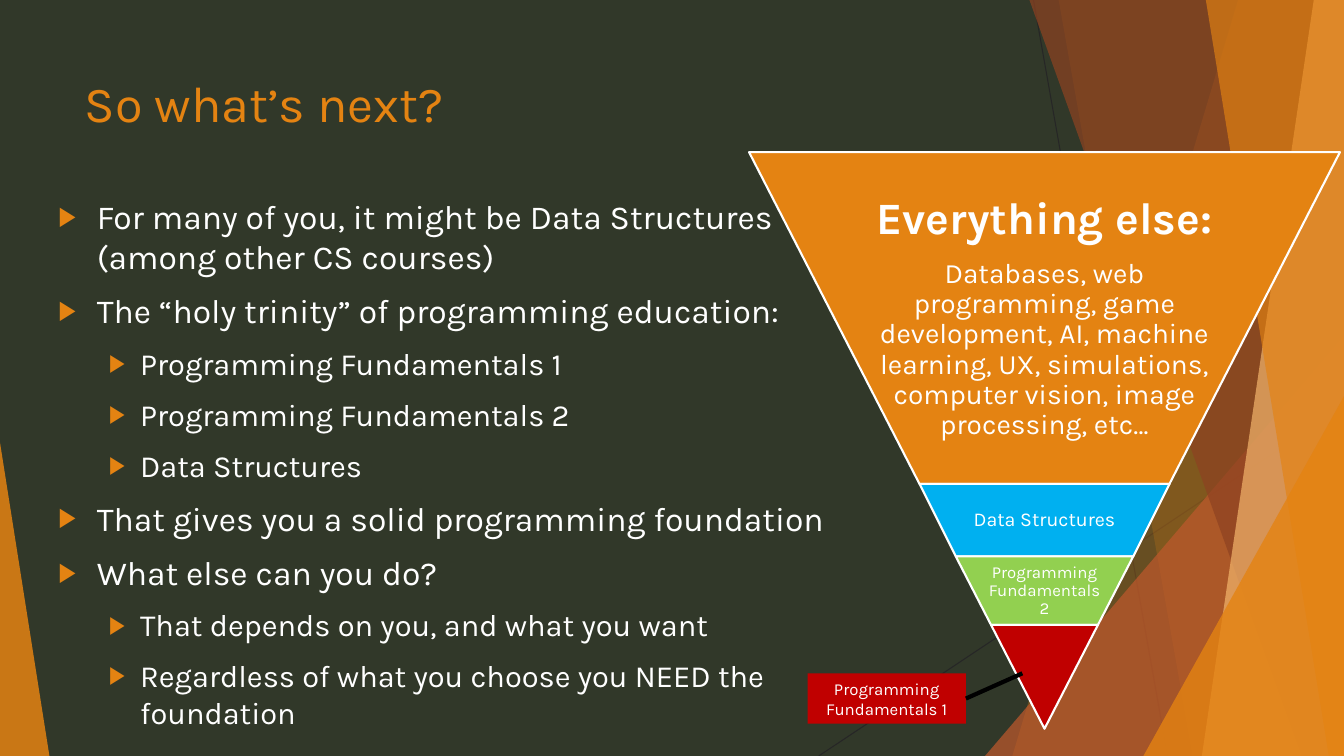
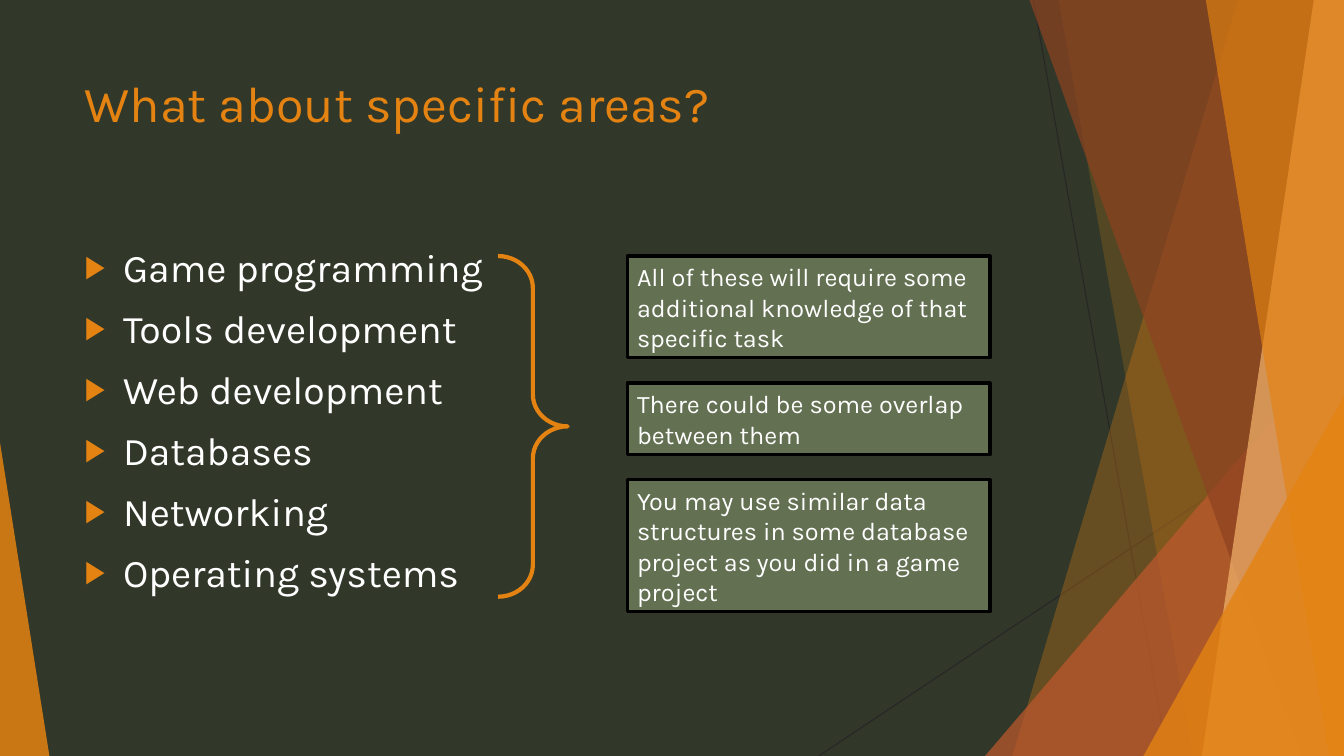
"""Build two slides on what to study after the programming fundamentals."""
from lxml.etree import SubElement
from pptx import Presentation
from pptx.dml.color import RGBColor
from pptx.enum.shapes import MSO_CONNECTOR as LINE, MSO_SHAPE as SHAPE
from pptx.enum.text import MSO_ANCHOR as ANCHOR, MSO_AUTO_SIZE as FIT, PP_ALIGN as ALIGN
from pptx.oxml.ns import qn
from pptx.util import Inches, Pt

FONT = "Karla"
WIDTH, HEIGHT = 13.33, 7.5
COLORS = {
    "background": "313829", "orange": "E48312", "rust": "BD582C", "brown": "8E4221",
    "peach": "F3B56C", "hairline": "262626", "white": "FFFFFF", "black": "000000",
    "blue": "00B0F0", "green": "92D050", "red": "C00000", "olive": "637052",
}

HAIRLINES = [(10.25, 0, 11.58, 7.5), (13.33, 4.03, 8.12, 7.5)]
FACETS = [
    {"edge": (12.28, 10.04), "color": "orange", "opacity": 30},
    {"edge": (10.5, 11.83), "color": "orange", "opacity": 20},
    {"box": (9.77, 3.33, 3.56, 4.17), "apex": 1, "color": "rust", "opacity": 72},
    {"edge": (10.21, 12.91), "color": "brown", "opacity": 70},
    {"edge": (13.03, 11.92), "color": "peach", "opacity": 70},
    {"edge": (11.96, 13.18), "color": "orange", "opacity": 65},
    {"box": (11.34, 3.93, 1.99, 3.57), "apex": 1, "color": "orange", "opacity": 80},
    {"box": (0, 4.39, 0.49, 3.11), "apex": 0, "color": "orange", "opacity": 85},
]

NEXT_TITLE = "So what’s next?"
NEXT_POINTS = [
    (0, "For many of you, it might be Data Structures (among other CS courses)"),
    (0, "The “holy trinity” of programming education:"),
    (1, "Programming Fundamentals 1"),
    (1, "Programming Fundamentals 2"),
    (1, "Data Structures"),
    (0, "That gives you a solid programming foundation"),
    (0, "What else can you do?"),
    (1, "That depends on you, and what you want"),
    (1, "Regardless of what you choose you NEED the foundation"),
]
PYRAMID_CENTER, PYRAMID_TOP, PYRAMID_TIP, PYRAMID_WIDTH = 10.36, 1.51, 7.23, 5.86
PYRAMID_LEVELS = [
    (4.8, "orange", [
        ("Everything else:", 32, True),
        ("Databases, web programming, game development, AI, machine learning, UX, "
         "simulations, computer vision, image processing, etc…", 20, False)]),
    (5.52, "blue", [("Data Structures", 14, False)]),
    (6.2, "green", [("Programming Fundamentals 2", 12, False)]),
    (PYRAMID_TIP, "red", []),
]
TIP_LABEL = "Programming Fundamentals 1"

AREAS_TITLE = "What about specific areas?"
AREAS = ["Game programming", "Tools development", "Web development",
         "Databases", "Networking", "Operating systems"]
CARDS = [
    (1.01, "All of these will require some additional knowledge of that specific task"),
    (0.71, "There could be some overlap between them"),
    (1.31, "You may use similar data structures in some database project "
           "as you did in a game project"),
]
CARD_LEFT, CARD_TOP, CARD_WIDTH, CARD_GAP = 6.22, 2.54, 3.6, 0.25


def rgb(name):
    """Return the named colour."""
    return RGBColor.from_string(COLORS[name])


def inches(*values):
    """Return the values as lengths."""
    return [Inches(round(value, 2)) for value in values]


def write(para, text, size, color="white", bold=False, align=ALIGN.LEFT):
    """Add one formatted span to a paragraph."""
    para.alignment = align
    span = para.add_run()
    span.text = text
    span.font.name = FONT
    span.font.size = Pt(size)
    span.font.bold = bold
    span.font.color.rgb = rgb(color)


def next_para(frame, index):
    """Return the first paragraph of a frame, or a new one."""
    return frame.add_paragraph() if index else frame.paragraphs[0]


def style(shape, fill=None, line=None, weight=1.5, opacity=100):
    """Set fill, outline and opacity of a shape."""
    shape.shadow.inherit = False
    if fill:
        shape.fill.solid()
        shape.fill.fore_color.rgb = rgb(fill)
    else:
        shape.fill.background()
    if line:
        shape.line.color.rgb = rgb(line)
        shape.line.width = Pt(weight)
    else:
        shape.line.fill.background()
    if opacity < 100:
        color = shape.element.spPr.find(qn("a:solidFill")).find(qn("a:srgbClr"))
        SubElement(color, qn("a:alpha"), val=str(opacity * 1000))
    return shape


def add_line(page, ends, color, weight):
    """Add a straight line."""
    line = page.shapes.add_connector(LINE.STRAIGHT, *inches(*ends))
    line.line.color.rgb = rgb(color)
    line.line.width = Pt(weight)
    SubElement(line.element.spPr, qn("a:effectLst"))
    return line


def add_polygon(page, points):
    """Add a closed outline through the points."""
    start, *rest = [tuple(inches(*point)) for point in points]
    builder = page.shapes.build_freeform(*start)
    builder.add_line_segments(rest, close=True)
    return builder.convert_to_shape()


def add_bullets(body, points, sizes):
    """Fill the body placeholder with (level, text) points."""
    frame = body.text_frame
    frame.auto_size = FIT.NONE
    frame.vertical_anchor = ANCHOR.TOP
    for index, (level, text) in enumerate(points):
        para = next_para(frame, index)
        para.level = level
        para.space_before = Pt(10 if index else 0)
        left, hanging = [(0.38, 0.38), (0.81, 0.31)][level]
        props = para._p.get_or_add_pPr()
        props.set("marL", str(Inches(left)))
        props.set("indent", str(-Inches(hanging)))
        color = SubElement(props, qn("a:buClr"))
        SubElement(color, qn("a:srgbClr"), val=COLORS["orange"])
        SubElement(props, qn("a:buSzPct"), val="80000")
        SubElement(props, qn("a:buFont"), typeface="Arial")
        SubElement(props, qn("a:buChar"), char="▶")
        write(para, text, sizes[level])


def place(shape, box):
    """Move and size a shape."""
    shape.left, shape.top, shape.width, shape.height = inches(*box)


def add_page(deck, title, box):
    """Add a titled slide and return it with its body placeholder."""
    page = deck.slides.add_slide(deck.slide_layouts[1])
    frame = page.shapes.title.text_frame
    frame.auto_size = FIT.NONE
    frame.vertical_anchor = ANCHOR.TOP
    write(frame.paragraphs[0], title, 36, "orange")
    body = page.placeholders[1]
    place(body, box)
    return page, body


def decorate_layout(layout, page):
    """Draw the shared facets and move them into the layout."""
    layout.background.fill.solid()
    layout.background.fill.fore_color.rgb = rgb("background")
    place(layout.placeholders[0], (0.74, 0.67, 9.4, 1.44))
    parts = [add_line(page, ends, "hairline", 0.75) for ends in HAIRLINES]
    for facet in FACETS:
        if "edge" in facet:
            top, bottom = facet["edge"]
            shape = add_polygon(page, [(top, 0), (WIDTH, 0), (WIDTH, HEIGHT), (bottom, HEIGHT)])
        else:
            shape = page.shapes.add_shape(SHAPE.ISOSCELES_TRIANGLE, *inches(*facet["box"]))
            shape.adjustments[0] = facet["apex"]
        parts.append(style(shape, facet["color"], opacity=facet["opacity"]))
    for position, part in enumerate(parts, start=2):
        layout.shapes.element.insert(position, part.element)


def add_pyramid(page):
    """Draw the inverted pyramid and the label of its tip."""
    def half_width(y):
        return PYRAMID_WIDTH / 2 * (PYRAMID_TIP - y) / (PYRAMID_TIP - PYRAMID_TOP)

    top = PYRAMID_TOP
    for bottom, color, texts in PYRAMID_LEVELS:
        upper, lower = half_width(top), half_width(bottom)
        points = [(PYRAMID_CENTER + upper, top), (PYRAMID_CENTER + lower, bottom),
                  (PYRAMID_CENTER - lower, bottom), (PYRAMID_CENTER - upper, top)]
        level = style(add_polygon(page, points), color, "white")
        frame = level.text_frame
        frame.word_wrap = True
        frame.vertical_anchor = ANCHOR.MIDDLE
        frame.margin_left = frame.margin_right = Inches(round(0.36 * upper, 2))
        frame.margin_top = frame.margin_bottom = Inches(0.02)
        for index, (text, size, bold) in enumerate(texts):
            para = next_para(frame, index)
            para.line_spacing = 0.9
            para.space_before = Pt(11 if index else 0)
            write(para, text, size, bold=bold, align=ALIGN.CENTER)
        top = bottom
    label = add_box(page, (8.01, 6.68, 1.57, 0.5), TIP_LABEL, 12, "red", align=ALIGN.CENTER)
    pointer = add_line(page, (10.14, 6.68, 9.58, 6.93), "black", 3)
    pointer.end_connect(label, 3)


def add_box(page, box, text, size, fill, line=None, align=ALIGN.LEFT):
    """Add a filled rectangle with text."""
    shape = page.shapes.add_shape(SHAPE.RECTANGLE, *inches(*box))
    style(shape, fill, line, 2.25)
    shape.text_frame.word_wrap = True
    write(shape.text_frame.paragraphs[0], text, size, align=align)
    return shape


def main():
    """Build and save the deck."""
    deck = Presentation()
    deck.slide_width, deck.slide_height = inches(WIDTH, HEIGHT)

    page, body = add_page(deck, NEXT_TITLE, (0.48, 1.89, 7.8, 5.17))
    decorate_layout(deck.slide_layouts[1], page)
    add_bullets(body, NEXT_POINTS, (24, 22))
    add_pyramid(page)

    page, body = add_page(deck, AREAS_TITLE, (0.74, 2.36, 9.4, 4.24))
    add_bullets(body, [(0, area) for area in AREAS], (28,))
    brace = page.shapes.add_shape(SHAPE.RIGHT_BRACE, *inches(4.94, 2.54, 0.69, 3.38))
    brace.adjustments[0] = 0.46
    style(brace, line="orange", weight=3)
    top = CARD_TOP
    for height, text in CARDS:
        add_box(page, (CARD_LEFT, top, CARD_WIDTH, height), text, 18, "olive", "black")
        top += height + CARD_GAP

    deck.save("out.pptx")


if __name__ == "__main__":
    main()
